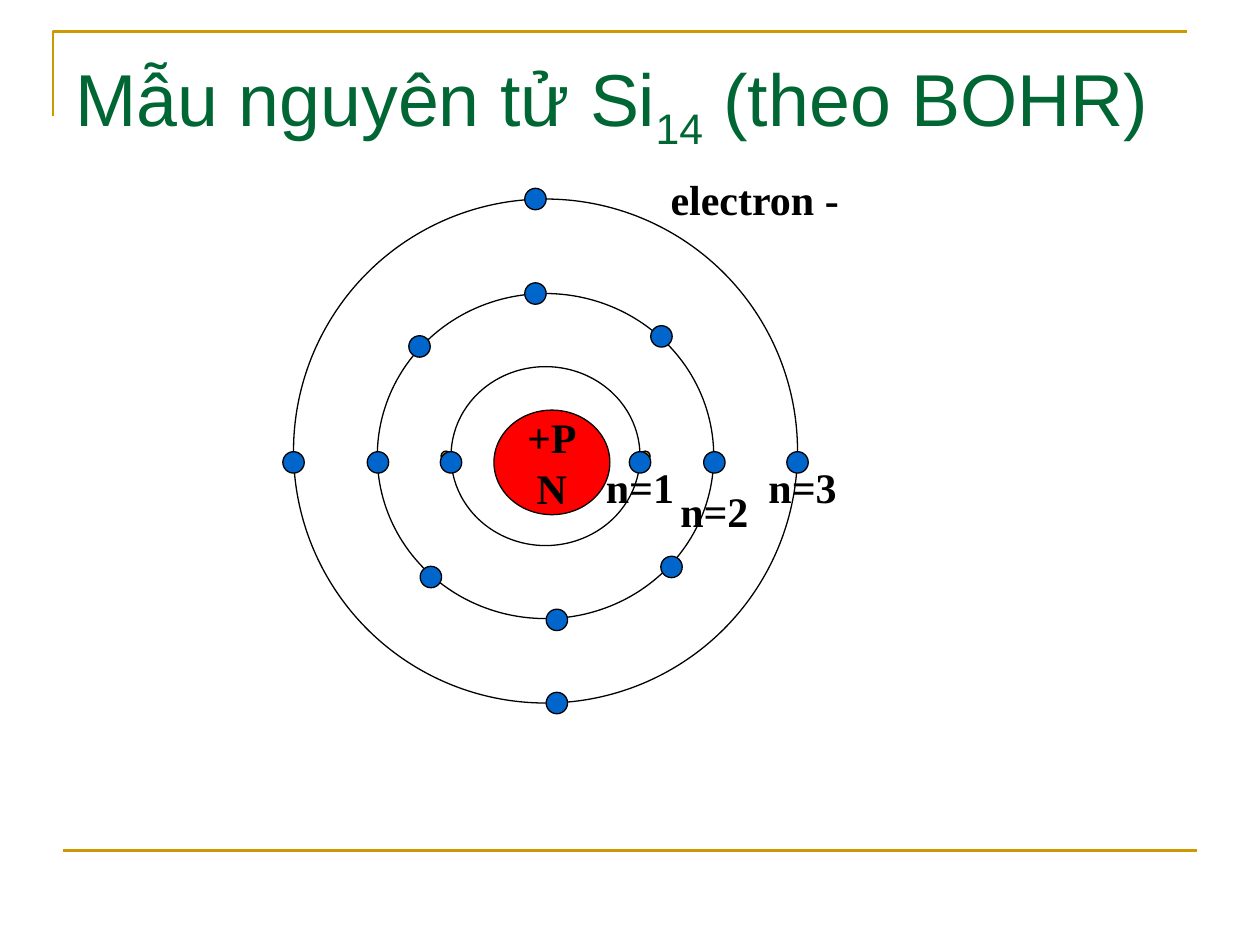
from typing import NamedTuple

import pptx
import pptx.dml.color
import pptx.enum.shapes
import pptx.enum.text
import pptx.oxml
import pptx.oxml.ns
import pptx.util
from pptx.util import Inches

SHAPE = pptx.enum.shapes.MSO_SHAPE
ALIGN = pptx.enum.text.PP_ALIGN
MIDDLE = pptx.enum.text.MSO_ANCHOR.MIDDLE

BLACK, WHITE, RED = "000000", "FFFFFF", "FF0000"
GOLD, BLUE, GREEN = "CC9900", "0066CC", "006633"


class Disc(NamedTuple):
    cx: float
    cy: float
    w: float
    h: float
    fill: str = WHITE


class Label(NamedTuple):
    text: str
    cx: float
    cy: float
    w: float = 1


# Electron shells, outermost first, and the electrons on each
SHELLS = [
    Disc(4.33, 3.58, 4, 4),
    Disc(4.33, 3.62, 2.67, 2.58),
    Disc(4.33, 3.62, 1.5, 1.42),
]
NUCLEUS = Disc(4.38, 3.67, 0.92, 0.83, RED)
MARKERS = [(3.54, 3.62), (5.12, 3.62)]
ELECTRONS = [
    # n=3
    (2.33, 3.67), (6.33, 3.67), (4.25, 1.58), (4.42, 5.58),
    # n=2
    (3, 3.67), (5.67, 3.67), (4.25, 2.33), (4.42, 4.92),
    (3.33, 2.75), (3.42, 4.58), (5.25, 2.67), (5.33, 4.5),
    # n=1
    (3.58, 3.67), (5.08, 3.67),
]
LABELS = [
    Label("electron -", 5.99, 1.58, 2),
    Label("n=1", 5.08, 3.86),
    Label("n=2", 5.67, 4.05),
    Label("n=3", 6.37, 3.86),
]


def color(value: str) -> pptx.dml.color.RGBColor:
    return pptx.dml.color.RGBColor.from_string(value)


def set_line(sp, value: str, width: float) -> None:
    sp.line.color.rgb = color(value)
    sp.line.width = pptx.util.Pt(width)


def add_run(p, text: str, font: str, size: float, value: str, bold: bool = False):
    r = p.add_run()
    r.text = text
    r.font.name = font
    r.font.size = pptx.util.Pt(size)
    r.font.bold = bold
    r.font.color.rgb = color(value)
    return r


def add_lines(tf, lines: list[str]) -> None:
    """Write centred bold lines, one paragraph each."""
    tf.vertical_anchor = MIDDLE
    for i, text in enumerate(lines):
        p = tf.add_paragraph() if i else tf.paragraphs[0]
        p.alignment = ALIGN.CENTER
        add_run(p, text, "Times New Roman", 24, BLACK, bold=True)


def add_disc(s, disc: Disc, kind=SHAPE.OVAL):
    sp = s.shapes.add_shape(
        kind, Inches(disc.cx - disc.w / 2), Inches(disc.cy - disc.h / 2),
        Inches(disc.w), Inches(disc.h))
    sp.shadow.inherit = False
    sp.fill.solid()
    sp.fill.fore_color.rgb = color(disc.fill)
    set_line(sp, BLACK, 0.75)
    return sp


def add_dots(s, centers: list[tuple[float, float]], size: float, fill: str) -> None:
    for cx, cy in centers:
        add_disc(s, Disc(cx, cy, size, size, fill), SHAPE.FLOWCHART_CONNECTOR)


def add_label(s, label: Label) -> None:
    height = 0.5
    box = s.shapes.add_textbox(
        Inches(label.cx - label.w / 2), Inches(label.cy - height / 2),
        Inches(label.w), Inches(height))
    box.text_frame.word_wrap = True
    add_lines(box.text_frame, [label.text])


def add_frame(s) -> None:
    # Corner rule around the title
    fb = s.shapes.build_freeform(Inches(0.42), Inches(0.92))
    fb.add_line_segments(
        [(Inches(0.42), Inches(0.25)), (Inches(9.42), Inches(0.25))], close=False)
    sp = fb.convert_to_shape()
    sp.shadow.inherit = False
    sp.fill.background()
    set_line(sp, GOLD, 1.5)

    # Footer rule
    line = s.shapes.add_connector(
        pptx.enum.shapes.MSO_CONNECTOR.STRAIGHT,
        Inches(0.5), Inches(6.75), Inches(9.5), Inches(6.75))
    set_line(line, GOLD, 1.5)
    line._element.spPr.append(pptx.oxml.parse_xml(
        f"<a:effectLst {pptx.oxml.ns.nsdecls('a')}/>"))


def add_title(s) -> None:
    box = s.shapes.add_textbox(Inches(0.5), Inches(0.3), Inches(9), Inches(1.03))
    tf = box.text_frame
    tf.word_wrap = True
    tf.vertical_anchor = MIDDLE
    p = tf.paragraphs[0]
    for text, baseline in [("Mẫu nguyên tử Si", 0), ("14", -25000), (" (theo BOHR)", 0)]:
        r = add_run(p, text, "Arial", 42, GREEN)
        if baseline:
            r.font._element.set("baseline", str(baseline))


def main() -> None:
    prs = pptx.Presentation()
    prs.slide_width, prs.slide_height = Inches(10), Inches(7.5)
    s = prs.slides.add_slide(prs.slide_layouts[6])

    add_frame(s)
    add_title(s)

    # Shells and nucleus
    for shell in SHELLS:
        add_disc(s, shell)
    tf = add_disc(s, NUCLEUS).text_frame
    tf.word_wrap = False
    add_lines(tf, ["+P", "N"])

    # Electrons and labels
    add_dots(s, MARKERS, 0.08, GOLD)
    add_dots(s, ELECTRONS, 0.17, BLUE)
    for label in LABELS:
        add_label(s, label)

    prs.save("out.pptx")


if __name__ == "__main__":
    main()
